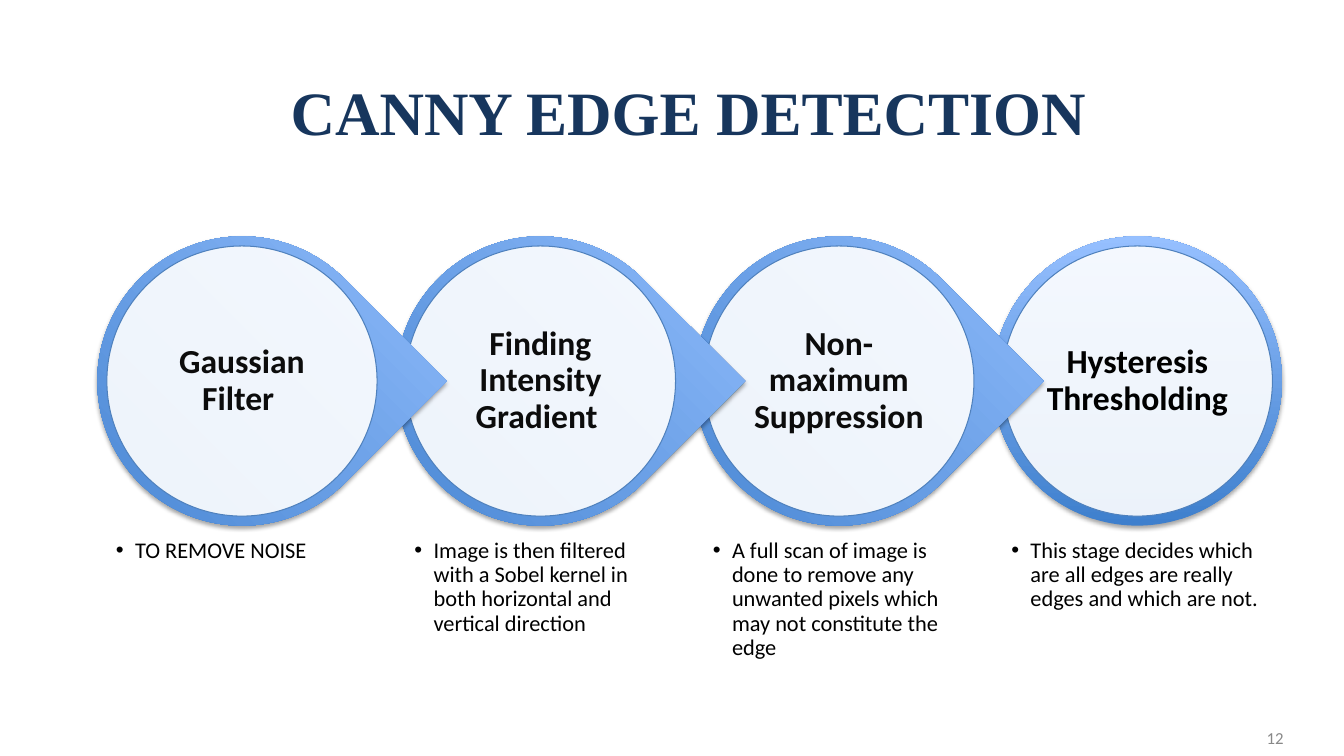
import dataclasses
import typing

import lxml.etree
import pptx
import pptx.dml.color
import pptx.enum.shapes
import pptx.enum.text
import pptx.oxml.ns
import pptx.shapes.autoshape
import pptx.shapes.base
import pptx.slide
import pptx.util

Inches = pptx.util.Inches
Pt = pptx.util.Pt
RGBColor = pptx.dml.color.RGBColor
Align = pptx.enum.text.PP_ALIGN
Anchor = pptx.enum.text.MSO_ANCHOR
Preset = pptx.enum.shapes.MSO_SHAPE

NAVY = RGBColor(0x17, 0x36, 0x5D)
RING_DARK = RGBColor(0x3E, 0x7F, 0xCD)
RING_LIGHT = RGBColor(0x96, 0xC0, 0xFF)
DISC_LINE = RGBColor(0x4F, 0x81, 0xBD)
WHITE = RGBColor(0xFF, 0xFF, 0xFF)
BLACK = RGBColor(0, 0, 0)
INK = RGBColor(0x0C, 0x0C, 0x0C)
GREY = RGBColor(0x88, 0x88, 0x88)

# Grid in inches: one column per stage, three nested sizes on one centre
FIRST_CENTRE, COLUMN_PITCH, CENTRE_Y = 2.4, 2.96, 3.78
RING, DISC, LABEL = 2.87, 2.68, 1.91
DETAIL_TOP, DETAIL_HEIGHT = 5.26, 1.57
BULLET_INDENT = 0.19


@dataclasses.dataclass(frozen=True)
class Stage:
    name: str
    detail: str
    ring: Preset = Preset.TEAR
    ink: RGBColor = INK


STAGES = [
    Stage("Gaussian Filter ", "TO REMOVE NOISE"),
    Stage("Finding Intensity Gradient ",
          "Image is then filtered with a Sobel kernel in both horizontal and vertical direction"),
    Stage("Non-maximum Suppression",
          "A full scan of image is done to remove any unwanted pixels which may not constitute the edge"),
    Stage("Hysteresis Thresholding",
          "This stage decides which are all edges are really edges and which are not.",
          Preset.OVAL, BLACK),
]


def add_xml(parent: typing.Any, tag: str, **attributes: str) -> typing.Any:
    return lxml.etree.SubElement(parent, pptx.oxml.ns.qn(tag), attributes)


def place(holder: pptx.shapes.base.BaseShape, left: float, top: float,
          width: float, height: float) -> None:
    holder.left, holder.top = Inches(left), Inches(top)
    holder.width, holder.height = Inches(width), Inches(height)


def write(holder: typing.Any, text: str, *, size: float, color: RGBColor,
          font: str = "Calibri", bold: bool = False, align: Align = Align.CENTER,
          anchor: Anchor = Anchor.MIDDLE, inset: tuple[float, float] = (0.1, 0.05),
          spacing: float = 1.0, bullet: bool = False) -> None:
    frame = holder.text_frame
    frame.word_wrap = True
    frame.auto_size = pptx.enum.text.MSO_AUTO_SIZE.NONE
    frame.vertical_anchor = anchor
    frame.margin_left = frame.margin_right = Inches(inset[0])
    frame.margin_top = frame.margin_bottom = Inches(inset[1])
    paragraph = frame.paragraphs[0]
    paragraph.alignment = align
    paragraph.line_spacing = spacing
    paragraph.space_before = paragraph.space_after = Pt(0)
    run = paragraph.add_run()
    run.text = text
    run.font.name, run.font.size, run.font.bold = font, Pt(size), bold
    run.font.color.rgb = color
    if bullet:
        properties = paragraph._p.get_or_add_pPr()
        properties.set("marL", str(Inches(BULLET_INDENT)))
        properties.set("indent", str(-Inches(BULLET_INDENT)))
        add_xml(properties, "a:buFont", typeface="Arial")
        add_xml(properties, "a:buChar", char="•")


def add_round(slide: pptx.slide.Slide, preset: Preset, centre: float,
              size: float) -> pptx.shapes.autoshape.Shape:
    return slide.shapes.add_shape(
        preset, Inches(centre - size / 2), Inches(CENTRE_Y - size / 2),
        Inches(size), Inches(size))


def draw_stage(slide: pptx.slide.Slide, stage: Stage, centre: float, detail: typing.Any) -> None:
    # Gradient ring; the teardrop is turned so that it points right
    ring = add_round(slide, stage.ring, centre, RING)
    if stage.ring == Preset.TEAR:
        ring.adjustments[0] = 1.0
        ring.rotation = 45
    ring.line.fill.background()
    ring.fill.gradient()
    ring.fill.gradient_angle = 90
    for stop, color in zip(ring.fill.gradient_stops, (RING_DARK, RING_LIGHT)):
        stop.color.rgb = color
    ring.shadow.inherit = False
    effects = ring._element.spPr.find(pptx.oxml.ns.qn("a:effectLst"))
    shadow = add_xml(effects, "a:outerShdw", blurRad=str(Pt(3.1)), dist=str(Pt(1.8)),
                     dir="5400000", rotWithShape="0")
    add_xml(add_xml(shadow, "a:srgbClr", val=str(BLACK)), "a:alpha", val="35000")

    # Slightly transparent white disc
    disc = add_round(slide, Preset.OVAL, centre, DISC)
    disc.shadow.inherit = False
    disc.fill.solid()
    disc.fill.fore_color.rgb = WHITE
    disc_color = disc._element.spPr.find(".//" + pptx.oxml.ns.qn("a:srgbClr"))
    add_xml(disc_color, "a:alpha", val="90000")
    disc.line.color.rgb, disc.line.width = DISC_LINE, Pt(0.75)

    # Stage name and its bullet
    name = slide.shapes.add_textbox(0, 0, 0, 0)
    place(name, centre - LABEL / 2, CENTRE_Y - LABEL / 2, LABEL, LABEL)
    write(name, stage.name, size=24, color=stage.ink, bold=True,
          inset=(0.03, 0.03), spacing=0.9)
    place(detail, centre - DISC / 2, DETAIL_TOP, DISC, DETAIL_HEIGHT)
    write(detail, stage.detail, size=16, color=BLACK, align=Align.LEFT,
          anchor=Anchor.TOP, inset=(0.09, 0.09), spacing=0.9, bullet=True)


def main() -> None:
    deck = pptx.Presentation()
    deck.slide_width, deck.slide_height = Inches(13.33), Inches(7.5)
    # The comparison layout has a title and four body placeholders
    slide = deck.slides.add_slide(deck.slide_layouts[4])
    title, *details = slide.placeholders

    place(title, 0.83, 0.47, 12, 1.25)
    write(title, "CANNY EDGE DETECTION", size=44, color=NAVY,
          font="Times New Roman", bold=True)

    # Right to left, so that each tip overlaps the next ring
    for column in reversed(range(len(STAGES))):
        draw_stage(slide, STAGES[column], FIRST_CENTRE + column * COLUMN_PITCH, details[column])

    page_number = slide.shapes.add_textbox(0, 0, 0, 0)
    place(page_number, 9.72, 7.12, 3.11, 0.4)
    write(page_number, "12", size=12, color=GREY, align=Align.RIGHT)

    deck.save("out.pptx")


if __name__ == "__main__":
    main()
